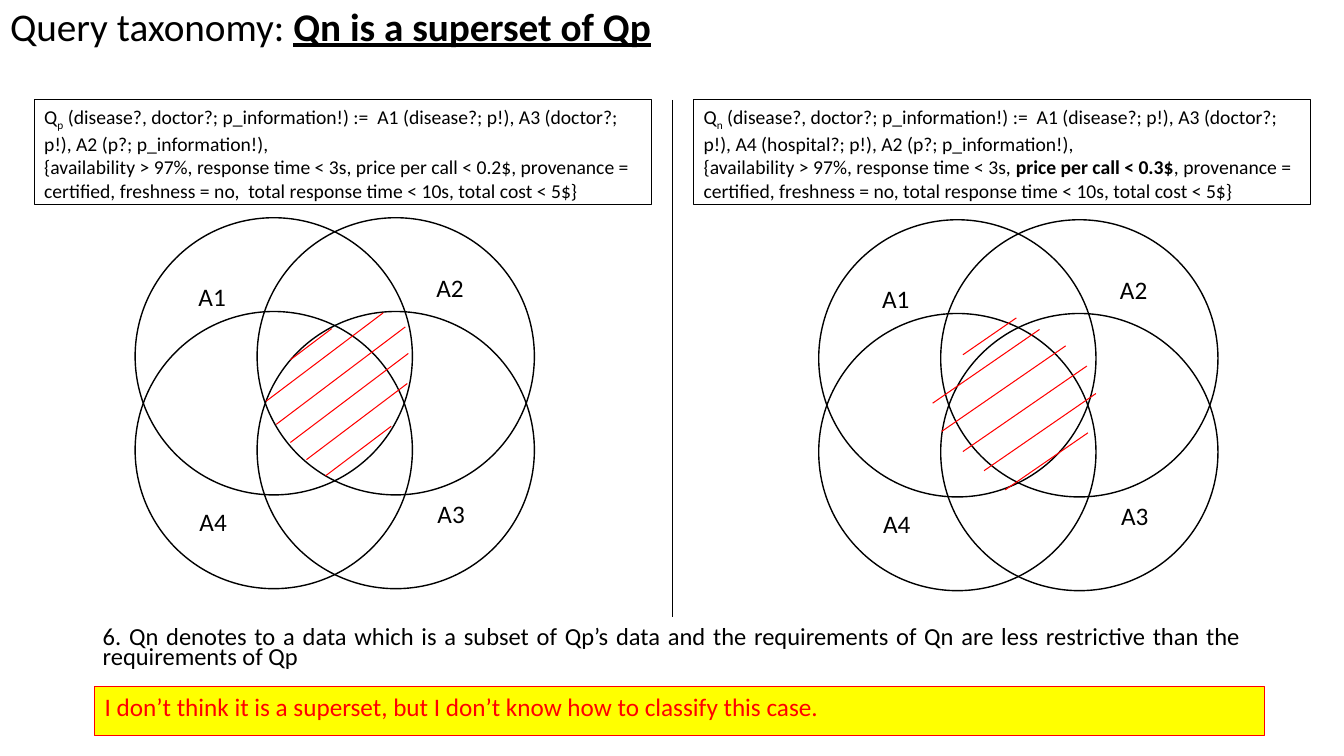
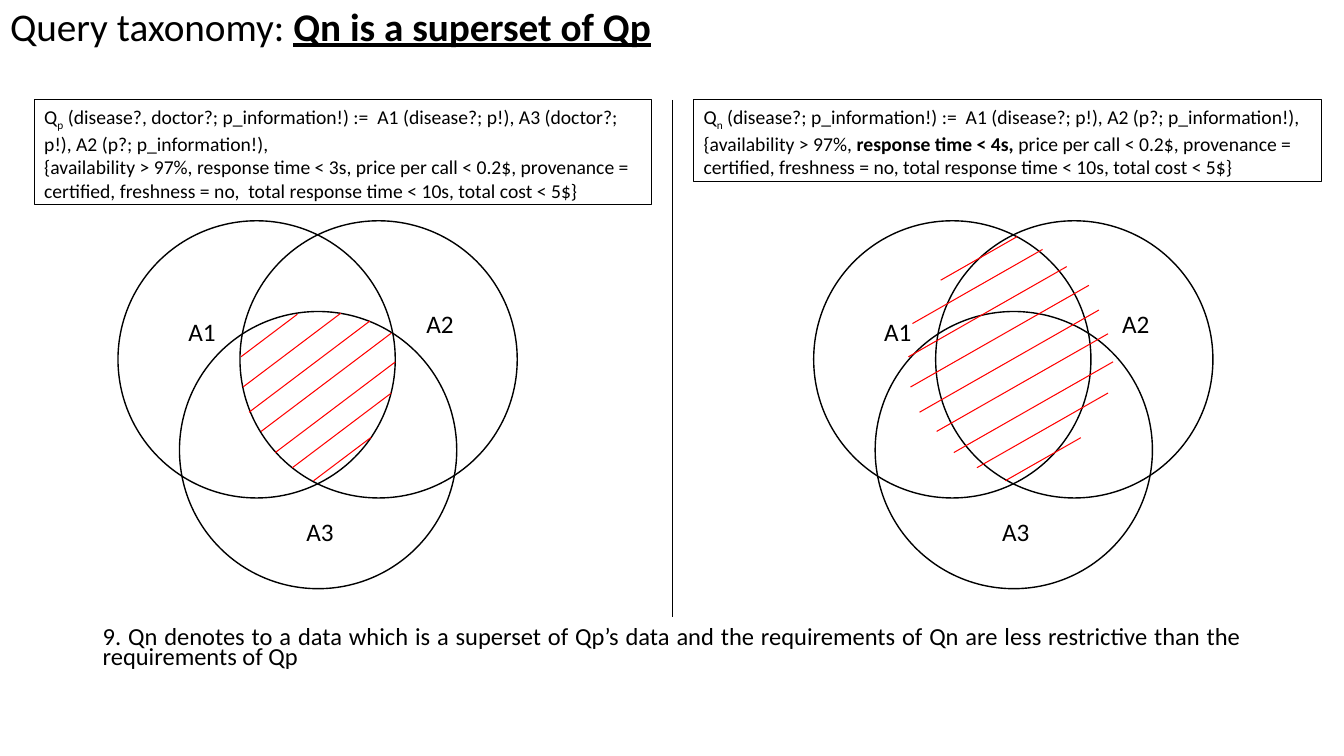
from lxml.etree import SubElement
from pptx import Presentation
from pptx.dml.color import RGBColor
from pptx.enum.shapes import MSO_CONNECTOR, MSO_SHAPE
from pptx.enum.text import MSO_ANCHOR, MSO_AUTO_SIZE, PP_ALIGN
from pptx.oxml.ns import qn
from pptx.util import Inches, Pt

# Shared style
FONT = "Calibri"
BLACK, RED, YELLOW = "000000", "FF0000", "FFFF00"
WIDTH, HEIGHT = 13.33, 7.5
QUERY_TOP = 0.99
QUERY_LEFTS = (0.34, 6.88)
DIAMETER = 2.75
LABEL_SIZE = (0.48, 0.4)

# Content: runs are (text, style)
TITLE = [("Query taxonomy: ", ""), ("Qn is a superset of Qp", "heading")]
PREVIOUS_QUERY = [
    [("Q", ""), ("p", "sub"),
     (" (disease?, doctor?; p_information!) :=  A1 (disease?; p!), A3 (doctor?; p!), "
      "A2 (p?; p_information!),", "")],
    [("{availability > 97%, response time < 3s, price per call < 0.2$, provenance = certified, "
      "freshness = no,  total response time < 10s, total cost < 5$}", "")],
]
PRICE_QUERY = [
    [("Q", ""), ("n", "sub"),
     (" (disease?, doctor?; p_information!) :=  A1 (disease?; p!), A3 (doctor?; p!), "
      "A4 (hospital?; p!), A2 (p?; p_information!),", "")],
    [("{availability > 97%, response time < 3s, ", ""), ("price per call < 0.3$", "bold"),
     (", provenance = certified, freshness = no, total response time < 10s, "
      "total cost < 5$}", "")],
]
TIME_QUERY = [
    [("Q", ""), ("n", "sub"),
     (" (disease?; p_information!) :=  A1 (disease?; p!), A2 (p?; p_information!),", "")],
    [("{availability > 97%, ", ""), ("response time < 4s, ", "bold"),
     ("price per call < 0.2$, provenance = certified, freshness = no, "
      "total response time < 10s, total cost < 5$}", "")],
]

# Circle and label offsets, measured from the diagram's top left corner
FOUR_SETS = {
    "circles": [(0, 0), (1.21, 0), (1.21, 0.93), (0, 0.93)],
    "labels": {"A1": (0.53, 0.58), "A2": (2.89, 0.49), "A3": (2.9, 2.73), "A4": (0.54, 2.81)},
}
THREE_SETS = {
    "circles": [(0, 0), (1.21, 0), (0.61, 0.9)],
    "labels": {"A1": (0.6, 0.9), "A2": (2.96, 0.82), "A3": (1.77, 2.88)},
}

# Each hatch has one slope; its strokes are (left, bottom, run)
SLIDES = [
    {
        "queries": [(PREVIOUS_QUERY, 6.12, 1.04), (PRICE_QUERY, 6.12, 1.04)],
        "sets": FOUR_SETS,
        "diagrams": [
            {"origin": (1.34, 2.16), "slope": 0.755, "strokes": [
                (2.88, 3.57, 0.41), (2.64, 3.98, 1.16), (2.74, 4.21, 1.28),
                (2.88, 4.39, 1.17), (3.04, 4.56, 1), (3.23, 4.72, 0.65)]},
            {"origin": (8.12, 2.18), "slope": 0.69, "strokes": [
                (9.55, 3.52, 0.53), (9.25, 4, 1.06), (9.34, 4.28, 1.23),
                (9.55, 4.48, 1.23), (9.76, 4.67, 1.11), (9.97, 4.86, 0.82)]},
        ],
        "statement": "6. Qn denotes to a data which is a subset of Qp’s data and the "
                     "requirements of Qn are less restrictive than the requirements of Qp",
        "remark": "I don’t think it is a superset, but I don’t know how to classify this case.",
    },
    {
        "queries": [(PREVIOUS_QUERY, 6.12, 1.04), (TIME_QUERY, 6.23, 0.81)],
        "sets": THREE_SETS,
        "diagrams": [
            {"origin": (1.17, 2.19), "slope": 0.755, "strokes": [
                (2.39, 3.54, 0.56), (2.41, 3.84, 0.97), (2.47, 4.09, 1.2), (2.59, 4.28, 1.29),
                (2.73, 4.49, 1.19), (2.9, 4.64, 0.98), (3.11, 4.77, 0.57)]},
            {"origin": (8.07, 2.19), "slope": 0.57, "strokes": [
                (9.33, 2.78, 0.76), (9.05, 3.21, 1.29), (9.01, 3.54, 1.57),
                (9.03, 3.84, 1.77), (9.12, 4.09, 1.78), (9.29, 4.28, 1.7),
                (9.46, 4.49, 1.58), (9.69, 4.64, 1.3), (9.97, 4.77, 0.75)]},
        ],
        "statement": "9. Qn denotes to a data which is a superset of Qp’s data and the "
                     "requirements of Qn are less restrictive than the requirements of Qp",
        "remark": None,
    },
]


def color(value):
    return RGBColor.from_string(value)


def inches(*lengths):
    return [Inches(length) for length in lengths]


def write(frame, paragraphs, size, ink=BLACK, align=PP_ALIGN.LEFT, spacing=None, wrap=True):
    frame.word_wrap = wrap
    for index, spans in enumerate(paragraphs):
        para = frame.add_paragraph() if index else frame.paragraphs[0]
        para.alignment = align
        para.line_spacing = spacing
        para.font.name = FONT
        para.font.size = Pt(size)
        para.font.color.rgb = color(ink)
        for text, style in spans:
            span = para.add_run()
            span.text = text
            if style == "sub":
                span.font._element.set("baseline", "-25000")
            elif style:
                span.font.bold = True
                span.font.underline = True if style == "heading" else None


def add_outline(page, kind, place, line=BLACK, weight=1.0, fill=None):
    shape = page.shapes.add_shape(kind, *inches(*place))
    shape.shadow.inherit = False
    if fill:
        shape.fill.solid()
        shape.fill.fore_color.rgb = color(fill)
    else:
        shape.fill.background()
    shape.line.color.rgb = color(line)
    shape.line.width = Pt(weight)
    shape.text_frame.vertical_anchor = MSO_ANCHOR.TOP
    return shape


def add_line(page, start, end, ink, weight):
    line = page.shapes.add_connector(MSO_CONNECTOR.STRAIGHT, *inches(*start, *end))
    line.line.color.rgb = color(ink)
    line.line.width = Pt(weight)
    SubElement(line._element.spPr, qn("a:effectLst"))


def add_text(page, place, text, size, **options):
    box = page.shapes.add_textbox(*inches(*place))
    write(box.text_frame, [[(text, "")]], size, **options)


def add_title(page):
    title = page.shapes.title
    title.left, title.top, title.width, title.height = inches(0, 0, 11.5, 0.57)
    title.text_frame.vertical_anchor = MSO_ANCHOR.MIDDLE
    title.text_frame.auto_size = MSO_AUTO_SIZE.NONE
    write(title.text_frame, [TITLE], 28, spacing=0.9)


def add_diagram(page, sets, diagram):
    left, top = diagram["origin"]
    for across, down in sets["circles"]:
        add_outline(page, MSO_SHAPE.OVAL, (left + across, top + down, DIAMETER, DIAMETER))
    for x, y, run in diagram["strokes"]:
        add_line(page, (x, y), (x + run, y - run * diagram["slope"]), RED, 0.75)
    for name, (across, down) in sets["labels"].items():
        add_text(page, (left + across, top + down, *LABEL_SIZE), name, 18, wrap=False)


def add_page(deck, content):
    page = deck.slides.add_slide(deck.slide_layouts[5])
    add_title(page)
    # Queries on both sides of the divider
    for left, (query, width, height) in zip(QUERY_LEFTS, content["queries"]):
        box = add_outline(page, MSO_SHAPE.RECTANGLE, (left, QUERY_TOP, width, height), weight=0.75)
        write(box.text_frame, query, 14)
    add_line(page, (WIDTH / 2, QUERY_TOP), (WIDTH / 2, 6.12), BLACK, 0.5)
    for diagram in content["diagrams"]:
        add_diagram(page, content["sets"], diagram)
    # Statement and remark
    add_text(page, (0.92, 6.19, 11.5, 0.56), content["statement"], 17.5,
             align=PP_ALIGN.JUSTIFY, spacing=0.7)
    if content["remark"]:
        box = add_outline(page, MSO_SHAPE.RECTANGLE, (0.94, 6.81, 11.6, 0.49), RED, fill=YELLOW)
        write(box.text_frame, [[(content["remark"], "")]], 18, RED, PP_ALIGN.JUSTIFY)


def main():
    deck = Presentation()
    deck.slide_width, deck.slide_height = inches(WIDTH, HEIGHT)
    for content in SLIDES:
        add_page(deck, content)
    deck.save("out.pptx")


if __name__ == "__main__":
    main()
